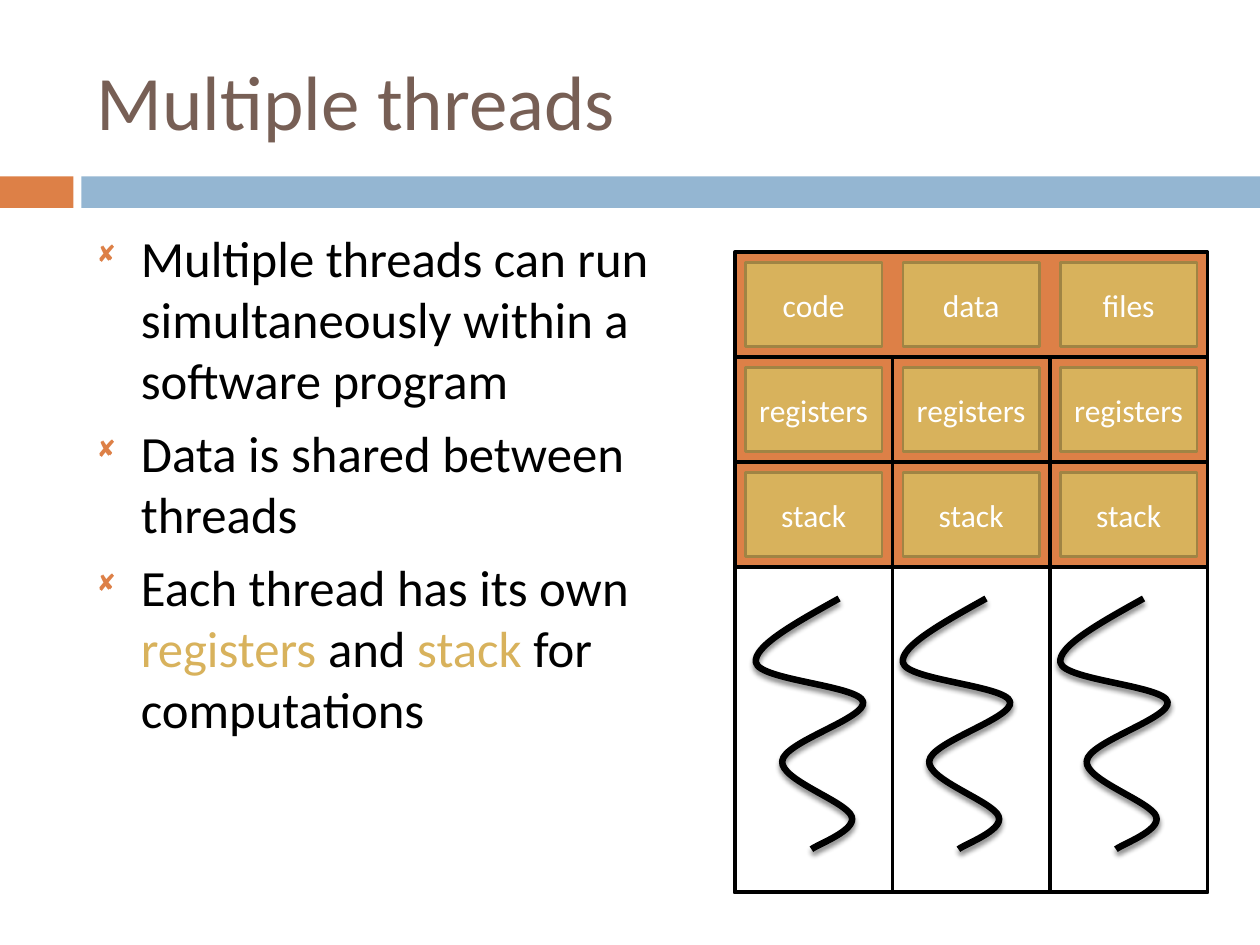
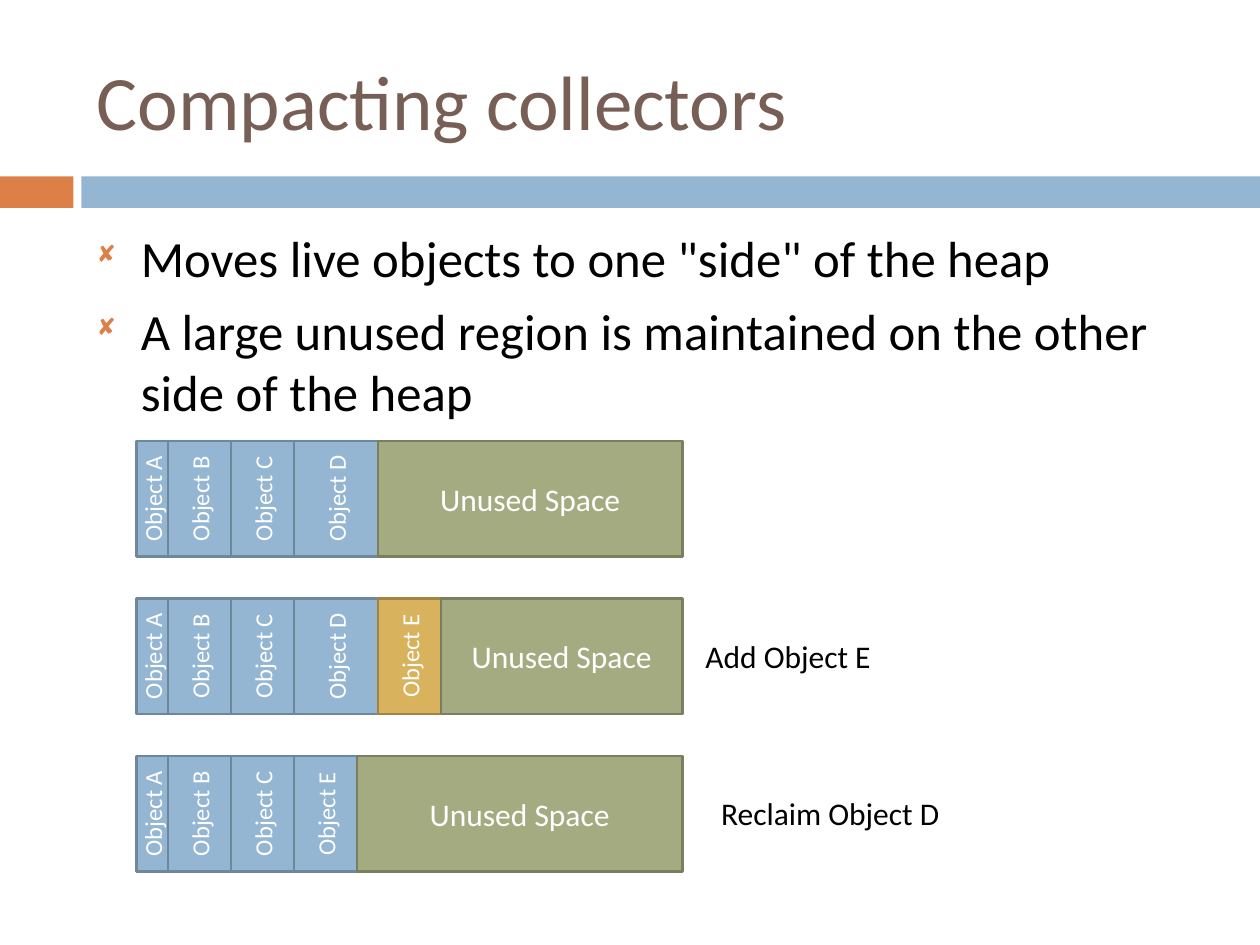
from lxml.etree import SubElement
from pptx import Presentation
from pptx.dml.color import RGBColor
from pptx.enum.shapes import MSO_SHAPE
from pptx.enum.text import MSO_ANCHOR, PP_ALIGN
from pptx.oxml.ns import qn
from pptx.util import Pt

# Shared style
FONT = "Calibri"
BROWN = RGBColor(0x77, 0x5F, 0x55)
ORANGE = RGBColor(0xDD, 0x80, 0x47)
BLUE = RGBColor(0x94, 0xB6, 0xD2)
BLUE_EDGE = RGBColor(0x6D, 0x87, 0x9B)
GOLD = RGBColor(0xD8, 0xB2, 0x5C)
GOLD_EDGE = RGBColor(0xA0, 0x84, 0x44)
GREEN = RGBColor(0xA5, 0xAB, 0x81)
GREEN_EDGE = RGBColor(0x7A, 0x7F, 0x5F)
BLACK = RGBColor(0, 0, 0)
WHITE = RGBColor(0xFF, 0xFF, 0xFF)
TEXT_LEFT = 48.2

# Thread curve: a start point, then Bezier segments (control, control, end)
CURVE_START = (47.5, 0)
CURVE = [
    ((23, 13.7), (-2, 27.4), (0, 36.7)),
    ((2.2, 46.8), (59, 49.7), (61.2, 59)),
    ((63.4, 68.4), (15.8, 82), (15, 92.9)),
    ((13.7, 103.7), (51.8, 116), (54.7, 124.6)),
    ((57.6, 132.5), (35.3, 140.4), (31.7, 143.3)),
]


def add_run(p, text, size=18, color=BLACK):
    r = p.add_run()
    r.text = text
    r.font.name = FONT
    r.font.size = Pt(size)
    r.font.color.rgb = color


def add_label(shapes, text, left, top, width, height, wrap=False,
              anchor=MSO_ANCHOR.TOP, **style):
    tf = shapes.add_textbox(Pt(left), Pt(top), Pt(width), Pt(height)).text_frame
    tf.word_wrap = wrap
    tf.vertical_anchor = anchor
    add_run(tf.paragraphs[0], text, **style)


def add_rect(shapes, left, top, width, height, fill=None, edge=None, weight=1.5):
    sp = shapes.add_shape(MSO_SHAPE.RECTANGLE, Pt(left), Pt(top), Pt(width), Pt(height))
    sp.shadow.inherit = False
    if fill is None:
        sp.fill.background()
    else:
        sp.fill.solid()
        sp.fill.fore_color.rgb = fill
    if edge is None:
        sp.line.fill.background()
    else:
        sp.line.color.rgb = edge
        sp.line.width = Pt(weight)
    return sp


def add_box(shapes, text, *frame, fill, edge, size=18, vertical=False):
    sp = add_rect(shapes, *frame, fill=fill, edge=edge)
    tf = sp.text_frame
    tf.word_wrap = True
    tf.vertical_anchor = MSO_ANCHOR.MIDDLE
    if vertical:
        tf._txBody.bodyPr.set("vert", "vert270")
    p = tf.paragraphs[0]
    p.alignment = PP_ALIGN.CENTER
    add_run(p, text, size=size, color=WHITE)


def set_bullet(p):
    pPr = p._p.get_or_add_pPr()
    pPr.set("marL", str(Pt(25.2)))
    pPr.set("indent", str(-Pt(25.2)))
    SubElement(SubElement(pPr, qn("a:buClr")), qn("a:srgbClr"), val=str(ORANGE))
    SubElement(pPr, qn("a:buSzPct"), val="60000")
    SubElement(pPr, qn("a:buFont"), typeface="Wingdings")
    SubElement(pPr, qn("a:buChar"), char="◻")


def add_bullets(s, width, items):
    """Each item is a list of (text, color) runs."""
    tf = s.shapes.add_textbox(Pt(TEXT_LEFT), Pt(126), Pt(width), Pt(354)).text_frame
    tf.word_wrap = True
    for i, runs in enumerate(items):
        p = tf.add_paragraph() if i else tf.paragraphs[0]
        p.space_before = Pt(7)
        set_bullet(p)
        for text, color in runs:
            add_run(p, text, size=29, color=color)


def add_base(prs, title):
    s = prs.slides.add_slide(prs.slide_layouts[6])
    add_rect(s.shapes, 0, 100.8, 42, 18, fill=ORANGE)
    add_rect(s.shapes, 46.5, 100.8, 673.5, 18, fill=BLUE)
    add_label(s.shapes, title, TEXT_LEFT, 18, 642, 78, wrap=True,
              anchor=MSO_ANCHOR.MIDDLE, size=44, color=BROWN)
    return s


def add_thread_curve(shapes, left, top):
    x, y = CURVE_START
    builder = shapes.build_freeform(Pt(left + x), Pt(top + y))
    builder.add_line_segments(
        [(Pt(left + x), Pt(top + y)) for _, _, (x, y) in CURVE], close=False)
    sp = builder.convert_to_shape()
    # Turn each straight segment into its Bezier curve
    lines = list(sp._element.iter(qn("a:lnTo")))
    for line, segment in zip(lines, CURVE):
        parent = line.getparent()
        parent.remove(line)
        curve = SubElement(parent, qn("a:cubicBezTo"))
        for x, y in segment:
            SubElement(curve, qn("a:pt"), x=str(Pt(x)), y=str(Pt(y)))
    sp.fill.background()
    sp.line.color.rgb = BLACK
    sp.line.width = Pt(3.75)
    # Soft shadow straight below the curve
    sp.shadow.inherit = False
    effects = sp._element.spPr.find(qn("a:effectLst"))
    shadow = SubElement(effects, qn("a:outerShdw"), blurRad=str(Pt(3)),
                        dist=str(Pt(2.4)), dir="5400000", rotWithShape="0")
    color = SubElement(shadow, qn("a:srgbClr"), val=str(BLACK))
    SubElement(color, qn("a:alpha"), val="45000")


def add_process(s):
    shapes = s.shapes.add_group_shape().shapes
    left, top, lane, band = 420, 144, 90, 60
    rows = [("code", "data", "files"), ("registers",) * 3, ("stack",) * 3]
    # Frame, bands and the outer lanes
    add_rect(shapes, left, 150, 3 * lane, 360, fill=WHITE, edge=BLACK, weight=2.25)
    for i in range(len(rows)):
        add_rect(shapes, left, top + i * band, 3 * lane, band,
                 fill=ORANGE, edge=BLACK, weight=2.25)
    for col in (0, 2):
        add_rect(shapes, left + col * lane, top + band, lane, 306,
                 edge=BLACK, weight=2.25)
    # Memory boxes
    for i, row in enumerate(rows):
        for col, name in enumerate(row):
            add_box(shapes, name, left + 6 + col * lane, top + 6 + i * band,
                    78, 48, fill=GOLD, edge=GOLD_EDGE)
    # One curve for each thread
    for col, inset in enumerate((12, 6, 6)):
        add_thread_curve(shapes, left + col * lane + inset, 342)


def add_heap(s, top, objects, new=None, label=None, label_at=None):
    shapes = s.shapes.add_group_shape().shapes
    left, right, height = 78, 390, 66
    for name, width in objects:
        fill, edge = (GOLD, GOLD_EDGE) if name == new else (BLUE, BLUE_EDGE)
        add_box(shapes, f"Object {name}", left, top, width, height,
                fill=fill, edge=edge, size=14, vertical=True)
        left += width
    add_box(shapes, "Unused Space", left, top, right - left, height,
            fill=GREEN, edge=GREEN_EDGE)
    if label:
        x, width = label_at
        add_label(shapes, label, x, top + 18.2, width, 29)


def main():
    prs = Presentation()
    prs.slide_width, prs.slide_height = Pt(720), Pt(540)

    # Threads
    s = add_base(prs, "Multiple threads")
    add_bullets(s, 348, [
        [("Multiple threads can run simultaneously within a software program", BLACK)],
        [("Data is shared between threads", BLACK)],
        [("Each thread has its own ", BLACK), ("registers", GOLD), (" and ", BLACK),
         ("stack", GOLD), (" for computations", BLACK)],
    ])
    add_process(s)

    # Heap compaction
    s = add_base(prs, "Compacting collectors")
    add_bullets(s, 642, [
        [('Moves live objects to one "side" of the heap', BLACK)],
        [("A large unused region is maintained on the other side of the heap", BLACK)],
    ])
    kept = [("A", 18), ("B", 36), ("C", 36)]
    d, e = ("D", 48), ("E", 36)
    add_heap(s, 252, kept + [d])
    add_heap(s, 342, kept + [d, e], new="E", label="Add Object E", label_at=(396, 111.6))
    add_heap(s, 432, kept + [e], label="Reclaim Object D", label_at=(405, 139.7))

    prs.save("out.pptx")


if __name__ == "__main__":
    main()
